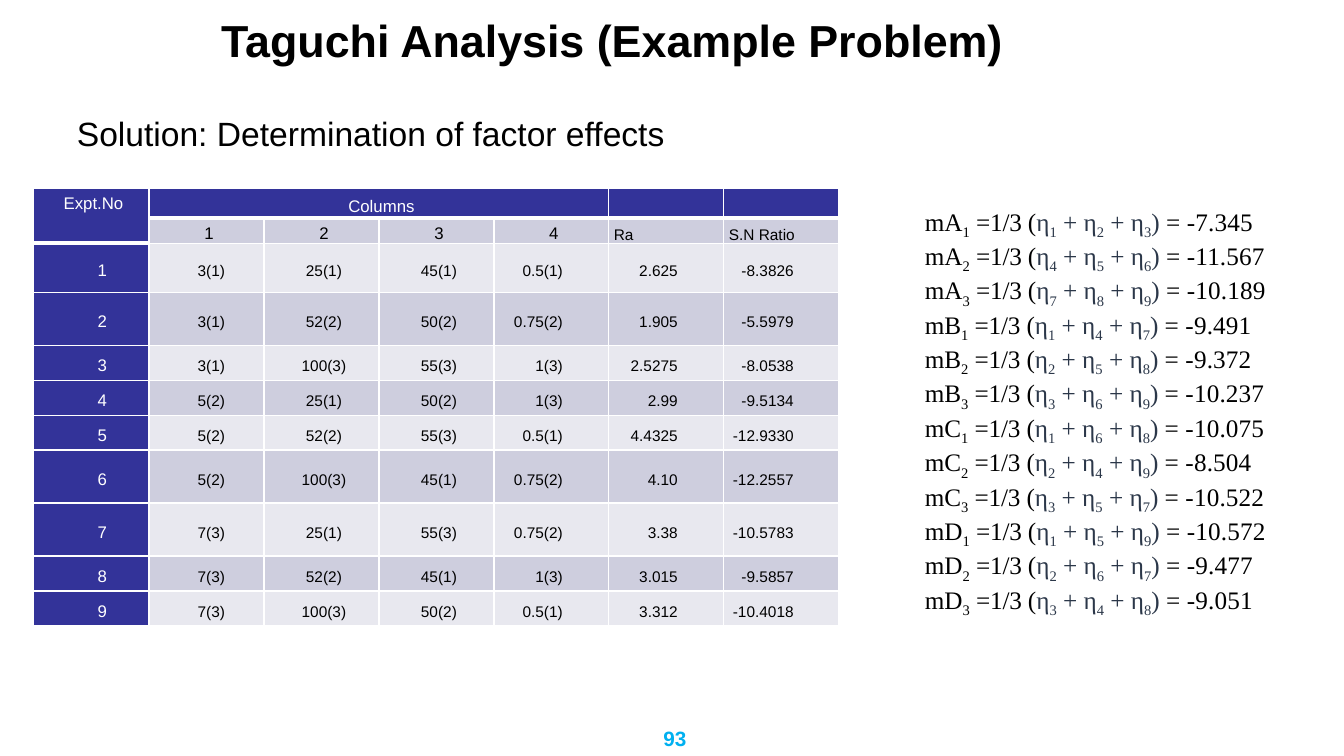
from dataclasses import dataclass

from lxml.etree import SubElement
from pptx import Presentation
from pptx.dml.color import RGBColor
from pptx.enum.text import MSO_ANCHOR as Anchor, MSO_AUTO_SIZE as AutoSize, PP_ALIGN as Align
from pptx.oxml.ns import qn
from pptx.util import Pt

EMU_PER_PX = 914400 / 100.8
COLORS = {
    "black": "000000",
    "white": "FFFFFF",
    "navy": "333399",
    "lavender": "CECEDE",
    "mist": "E8E8EF",
    "slate": "2B3749",
    "cyan": "00B0F0",
}


@dataclass(frozen=True)
class Column:
    heading: str
    heading_size: int
    heading_align: Align
    align: Align
    right_margin: int


@dataclass(frozen=True)
class Effect:
    factor: str
    level: int
    trials: tuple[int, int, int]
    value: str


COLUMNS = [
    Column("", 12, Align.CENTER, Align.RIGHT, 42),
    Column("1", 12, Align.CENTER, Align.RIGHT, 39),
    Column("2", 12, Align.CENTER, Align.CENTER, 0),
    Column("3", 12, Align.CENTER, Align.CENTER, 0),
    Column("4", 12, Align.CENTER, Align.RIGHT, 46),
    Column("Ra", 11, Align.LEFT, Align.RIGHT, 46),
    Column("S.N Ratio", 11, Align.LEFT, Align.RIGHT, 45),
]
EXPERIMENTS = [
    ("1", "3(1)", "25(1)", "45(1)", "0.5(1)", "2.625", "-8.3826"),
    ("2", "3(1)", "52(2)", "50(2)", "0.75(2)", "1.905", "-5.5979"),
    ("3", "3(1)", "100(3)", "55(3)", "1(3)", "2.5275", "-8.0538"),
    ("4", "5(2)", "25(1)", "50(2)", "1(3)", "2.99", "-9.5134"),
    ("5", "5(2)", "52(2)", "55(3)", "0.5(1)", "4.4325", "-12.9330"),
    ("6", "5(2)", "100(3)", "45(1)", "0.75(2)", "4.10", "-12.2557"),
    ("7", "7(3)", "25(1)", "55(3)", "0.75(2)", "3.38", "-10.5783"),
    ("8", "7(3)", "52(2)", "45(1)", "1(3)", "3.015", "-9.5857"),
    ("9", "7(3)", "100(3)", "50(2)", "0.5(1)", "3.312", "-10.4018"),
]
COLUMN_WIDTHS = [116] + [115] * 6
ROW_HEIGHTS = [25, 25, 49, 53, 35, 35, 35, 53, 53, 35, 35]
EFFECTS = [
    Effect("A", 1, (1, 2, 3), "-7.345"),
    Effect("A", 2, (4, 5, 6), "-11.567"),
    Effect("A", 3, (7, 8, 9), "-10.189"),
    Effect("B", 1, (1, 4, 7), "-9.491"),
    Effect("B", 2, (2, 5, 8), "-9.372"),
    Effect("B", 3, (3, 6, 9), "-10.237"),
    Effect("C", 1, (1, 6, 8), "-10.075"),
    Effect("C", 2, (2, 4, 9), "-8.504"),
    Effect("C", 3, (3, 5, 7), "-10.522"),
    Effect("D", 1, (1, 5, 9), "-10.572"),
    Effect("D", 2, (2, 6, 7), "-9.477"),
    Effect("D", 3, (3, 4, 8), "-9.051"),
]


def px(length: int) -> int:
    return round(length * EMU_PER_PX)


def rgb(color: str) -> RGBColor:
    return RGBColor.from_string(COLORS[color])


def add_run(paragraph, text: str, size: float, color: str = "black", bold: bool = False,
            font: str = "Arial", subscript: bool = False, spacing: int = 0) -> None:
    """Append a run; spacing is in hundredths of a point."""
    run = paragraph.add_run()
    run.text = text
    run.font.size = Pt(size)
    run.font.name = font
    run.font.bold = bold
    run.font.color.rgb = rgb(color)
    properties = run.font._element
    if subscript:
        properties.set("baseline", "-25000")
    if spacing:
        properties.set("spc", str(spacing))


def add_text_frame(slide, left: int, top: int, width: int, height: int):
    frame = slide.shapes.add_textbox(px(left), px(top), px(width), px(height)).text_frame
    frame.word_wrap = True
    return frame


def add_title(slide) -> None:
    title = slide.shapes.title
    title.left, title.top, title.width, title.height = px(211), px(16), px(1132), px(47)
    frame = title.text_frame
    frame.auto_size = AutoSize.NONE
    frame.vertical_anchor = Anchor.MIDDLE
    heading = frame.paragraphs[0]
    heading.alignment = Align.LEFT
    add_run(heading, "Taguchi Analysis (Example Problem)", 32, bold=True)


def set_borders(cell, bottom_width: int) -> None:
    """Put white lines round a cell, ahead of its fill."""
    properties = cell._tc.get_or_add_tcPr()
    for side, width in (("L", 1), ("R", 1), ("T", 1), ("B", bottom_width)):
        line = SubElement(properties, qn(f"a:ln{side}"), w=str(Pt(width)))
        solid = SubElement(line, qn("a:solidFill"))
        SubElement(solid, qn("a:srgbClr"), val=COLORS["white"])


def fill_cell(cell, text: str, size: int, color: str, fill: str, align: Align,
              right_margin: int = 0, bottom_width: int = 1) -> None:
    set_borders(cell, bottom_width)
    cell.fill.solid()
    cell.fill.fore_color.rgb = rgb(fill)
    cell.margin_left, cell.margin_right = px(5), px(right_margin)
    cell.margin_top = cell.margin_bottom = 0
    cell.vertical_anchor = Anchor.MIDDLE
    paragraph = cell.text_frame.paragraphs[0]
    paragraph.alignment = align
    paragraph.line_spacing = Pt(17.8)
    if text:
        add_run(paragraph, text, size, color)


def add_experiment_table(slide) -> None:
    table = slide.shapes.add_table(len(ROW_HEIGHTS), len(COLUMNS), px(33), px(188),
                                   px(sum(COLUMN_WIDTHS)), px(sum(ROW_HEIGHTS))).table
    table.horz_banding = False
    for column, width in zip(table.columns, COLUMN_WIDTHS):
        column.width = px(width)
    for row, height in zip(table.rows, ROW_HEIGHTS):
        row.height = px(height)

    for c, column in enumerate(COLUMNS):
        group = {0: "Expt.No", 1: "Columns"}.get(c, "")
        fill_cell(table.cell(0, c), group, 12, "white", "navy", Align.CENTER, bottom_width=3)
        fill_cell(table.cell(1, c), column.heading, column.heading_size, "black",
                  "lavender" if c else "navy", column.heading_align)
        for r, experiment in enumerate(EXPERIMENTS):
            if c == 0:
                size, color, fill = 12, "white", "navy"
            else:
                size, color, fill = 11, "black", "lavender" if r % 2 else "mist"
            fill_cell(table.cell(r + 2, c), experiment[c], size, color, fill,
                      column.align, column.right_margin)
    table.cell(0, 0).merge(table.cell(1, 0))
    table.cell(0, 0).vertical_anchor = Anchor.TOP
    table.cell(0, 1).merge(table.cell(0, 4))


def add_effect(paragraph, effect: Effect) -> None:
    def add_part(text: str, color: str, subscript: bool = False, spacing: int = 0) -> None:
        add_run(paragraph, text, 18, color, font="Times New Roman",
                subscript=subscript, spacing=spacing)

    add_part(f"m{effect.factor}", "black", spacing=-10)
    add_part(str(effect.level), "black", subscript=True, spacing=-10)
    add_part(" =1/3 (", "black", spacing=-10)
    for i, trial in enumerate(effect.trials):
        add_part(" + η" if i else "η", "slate")
        add_part(str(trial), "slate", subscript=True)
    add_part(") ", "slate")
    add_part(f"= {effect.value}", "black", spacing=10)


def add_effects(slide) -> None:
    frame = add_text_frame(slide, 905, 201, 439, 407)
    frame.margin_left = px(20)
    for i, effect in enumerate(EFFECTS):
        add_effect(frame.add_paragraph() if i else frame.paragraphs[0], effect)


def main() -> None:
    deck = Presentation()
    deck.slide_width, deck.slide_height = px(1344), px(756)
    slide = deck.slides.add_slide(deck.slide_layouts[5])
    add_title(slide)
    subtitle = add_text_frame(slide, 67, 108, 843, 50).paragraphs[0]
    add_run(subtitle, "Solution: Determination of factor effects", 24)
    page_number = add_text_frame(slide, 621, 721, 108, 35).paragraphs[0]
    page_number.alignment = Align.CENTER
    add_run(page_number, "93", 14.8, "cyan", bold=True)
    add_experiment_table(slide)
    add_effects(slide)
    deck.save("out.pptx")


if __name__ == "__main__":
    main()
